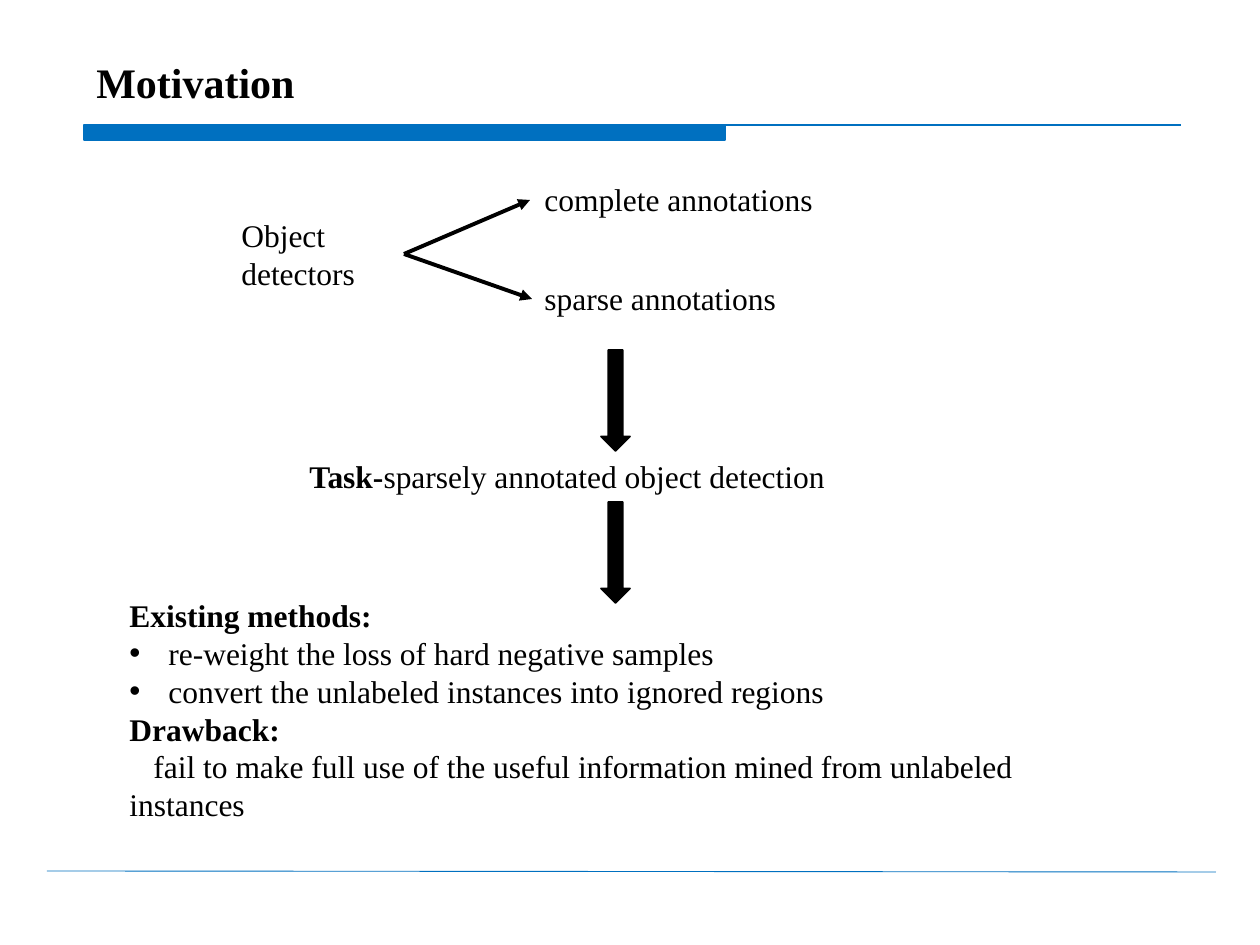
"""Build the Motivation slide on sparsely annotated object detection."""
import pptx
import pptx.dml.color
import pptx.enum.shapes
import pptx.enum.text
import pptx.oxml.ns
import pptx.util
from lxml import etree

EMU_PER_PX = 914400 / 126
FONT = "Times New Roman"
COLORS = {"accent": "0070C0", "text": "000000", "background": "FFFFFF"}
SHAPES = pptx.enum.shapes.MSO_SHAPE


def px(length):
    """Turn pixels into EMU."""
    return pptx.util.Emu(round(length * EMU_PER_PX))


def rgb(name):
    """Look up a named colour."""
    return pptx.dml.color.RGBColor.from_string(COLORS[name])


def add_child(parent, tag, **attributes):
    """Append a DrawingML element."""
    return etree.SubElement(parent, pptx.oxml.ns.qn(tag), attributes)


def add_shape(slide, kind, box, color, line_width=None):
    """Add a filled preset shape, outlined in its own colour if a width is given."""
    shape = slide.shapes.add_shape(kind, *map(px, box))
    shape.shadow.inherit = False
    shape.fill.solid()
    shape.fill.fore_color.rgb = rgb(color)
    if line_width:
        shape.line.color.rgb = rgb(color)
        shape.line.width = pptx.util.Pt(line_width)
    else:
        shape.line.fill.background()
    return shape


def add_line(slide, start, end, color, width, arrow=False):
    """Add a straight line, with an arrowhead at its end if asked."""
    line = slide.shapes.add_connector(
        pptx.enum.shapes.MSO_CONNECTOR.STRAIGHT, *map(px, start + end))
    line.line.color.rgb = rgb(color)
    line.line.width = pptx.util.Pt(width)
    if arrow:
        add_child(line.line._get_or_add_ln(), "a:tailEnd", type="triangle")
    add_child(line._element.spPr, "a:effectLst")


def style_paragraph(paragraph, size=18, bold=False):
    """Set alignment and font for a whole paragraph."""
    paragraph.alignment = pptx.enum.text.PP_ALIGN.LEFT
    paragraph.font.name = FONT
    paragraph.font.size = pptx.util.Pt(size)
    paragraph.font.bold = bold
    paragraph.font.color.rgb = rgb("text")


def indent(paragraph, left, first, bullet=None):
    """Set the indents in pixels and an optional bullet."""
    properties = paragraph._p.get_or_add_pPr()
    properties.set("marL", str(px(left)))
    properties.set("indent", str(px(first)))
    if bullet:
        add_child(properties, "a:buFont", typeface="Arial")
        add_child(properties, "a:buChar", char=bullet)


def add_text(slide, box, text, size=18, bold=False, wrap=True):
    """Add a text box with one paragraph and return its frame."""
    frame = slide.shapes.add_textbox(*map(px, box)).text_frame
    frame.word_wrap = wrap
    paragraph = frame.paragraphs[0]
    paragraph.text = text
    style_paragraph(paragraph, size, bold)
    return frame


def add_task(slide):
    """Add the task statement with its bold lead."""
    shape = add_shape(slide, SHAPES.RECTANGLE, (297, 451, 800, 50), "background")
    frame = shape.text_frame
    frame.word_wrap = True
    frame.vertical_anchor = pptx.enum.text.MSO_ANCHOR.TOP
    paragraph = frame.paragraphs[0]
    style_paragraph(paragraph)
    for text, bold in (("Task-", True), ("sparsely annotated object detection", False)):
        run = paragraph.add_run()
        run.text = text
        run.font.bold = bold


def add_methods(slide):
    """Add the existing methods and their drawback."""
    frame = add_text(slide, (117, 590, 1027, 242), "Existing methods:", bold=True)
    lines = (
        ("re-weight the loss of hard negative samples", False, (39, -39, "•")),
        ("convert the unlabeled instances into ignored regions", False, (39, -39, "•")),
        ("Drawback:", True, (0, 0)),
        ("fail to make full use of the useful information mined from unlabeled instances",
         False, (0, 24)),
    )
    for text, bold, indents in lines:
        paragraph = frame.add_paragraph()
        paragraph.text = text
        indent(paragraph, *indents)
        style_paragraph(paragraph, bold=bold)


def main():
    """Build and save the slide."""
    presentation = pptx.Presentation()
    presentation.slide_width, presentation.slide_height = px(1260), px(945)
    slide = presentation.slides.add_slide(presentation.slide_layouts[6])

    add_line(slide, (47, 871), (1216, 872), "accent", 0.5)
    add_shape(slide, SHAPES.RECTANGLE, (84, 125, 641, 15), "accent", 0.75)
    add_line(slide, (84, 125), (1181, 125), "accent", 1.07)
    title = add_text(slide, (84, 29, 1034, 112), "Motivation", size=24, bold=True)
    title.vertical_anchor = pptx.enum.text.MSO_ANCHOR.MIDDLE
    title.paragraphs[0].line_spacing = 0.9

    add_task(slide)
    add_text(slide, (229, 210, 174, 127), "Object detectors")
    branches = (("complete annotations", 174, 305, (530, 200)),
                ("sparse annotations", 273, 260, (532, 299)))
    for text, top, width, tip in branches:
        add_line(slide, (404, 254), tip, "text", 2.25, arrow=True)
        add_text(slide, (532, top, width, 50), text, wrap=False)
    for top in (350, 502):
        add_shape(slide, SHAPES.DOWN_ARROW, (601, top, 29, 101), "text", 1)
    add_methods(slide)

    presentation.save("out.pptx")


if __name__ == "__main__":
    main()
